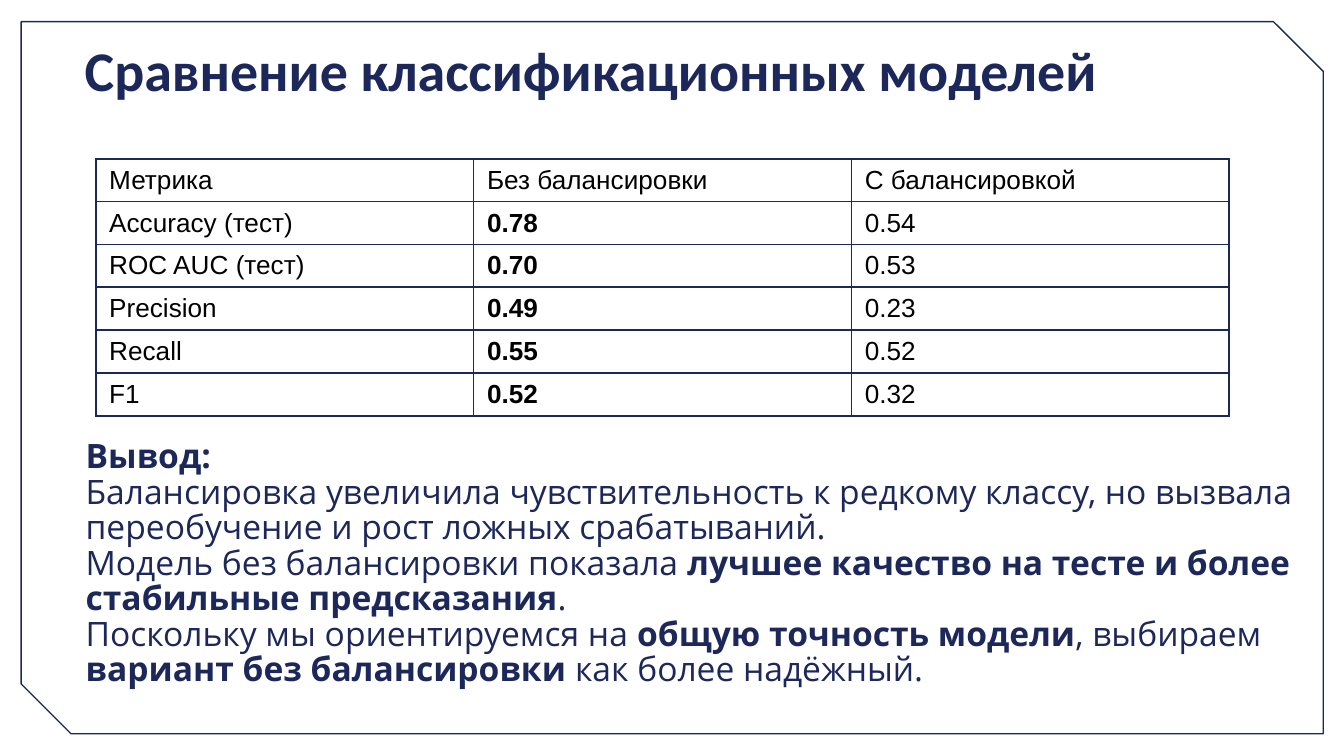
from dataclasses import dataclass

from lxml.etree import SubElement
from pptx import Presentation
from pptx.dml.color import RGBColor
from pptx.enum.shapes import MSO_SHAPE
from pptx.enum.text import MSO_ANCHOR, MSO_AUTO_SIZE, PP_ALIGN
from pptx.oxml.ns import qn
from pptx.util import Cm, Pt


@dataclass(frozen=True)
class Theme:
    navy: RGBColor = RGBColor(0x1C, 0x28, 0x5A)
    black: RGBColor = RGBColor(0, 0, 0)
    title_size: Pt = Pt(30)
    body_size: Pt = Pt(18)
    table_size: Pt = Pt(14)
    frame_line: Pt = Pt(0.75)
    border_line: Pt = Pt(1)


theme = Theme()


def add_text(paragraph, text, color, **font_format):
    run = paragraph.add_run()
    run.text = text
    for name, value in font_format.items():
        setattr(run.font, name, value)
    run.font.color.rgb = color


def set_borders(cell):
    properties = cell._tc.get_or_add_tcPr()
    # Borders must stand before the fill in the cell properties.
    for index, side in enumerate(("lnL", "lnR", "lnT", "lnB")):
        line = SubElement(properties, qn(f"a:{side}"), w=str(theme.border_line))
        fill = SubElement(line, qn("a:solidFill"))
        SubElement(fill, qn("a:srgbClr"), val=str(theme.navy))
        properties.insert(index, line)


presentation = Presentation()
presentation.slide_width = Cm(25.4)
presentation.slide_height = Cm(14.29)
slide = presentation.slides.add_slide(presentation.slide_layouts[5])

# Frame with two snipped corners
frame = slide.shapes.add_shape(
    MSO_SHAPE.SNIP_2_DIAG_RECTANGLE, Cm(0.4), Cm(0.41), Cm(24.61), Cm(13.46)
)
frame.adjustments[0] = 0
frame.adjustments[1] = 0.07
frame.shadow.inherit = False
frame.fill.background()
frame.line.color.rgb = theme.navy
frame.line.width = theme.frame_line

# Title and conclusion boxes
title = slide.shapes.title
title_place = {"left": Cm(1.35), "top": Cm(0.42), "width": Cm(22.73), "height": Cm(1.6)}
for name, value in title_place.items():
    setattr(title, name, value)
conclusion = slide.shapes.add_textbox(Cm(0.94), Cm(8.08), Cm(24.16), Cm(4.22))

frame_format = {
    "margin_left": Cm(0.25),
    "margin_right": Cm(0.25),
    "margin_top": Cm(0.25),
    "margin_bottom": Cm(0.25),
    "word_wrap": True,
    "auto_size": MSO_AUTO_SIZE.NONE,
    "vertical_anchor": MSO_ANCHOR.TOP,
}
for shape in (title, conclusion):
    for name, value in frame_format.items():
        setattr(shape.text_frame, name, value)

title_paragraph = title.text_frame.paragraphs[0]
title_paragraph.alignment = PP_ALIGN.LEFT
add_text(title_paragraph, "Сравнение классификационных моделей", theme.navy,
         name="Calibri", size=theme.title_size, bold=True)

# Metrics table
metrics = [
    ("Метрика", "Без балансировки", "С балансировкой"),
    ("Accuracy (тест)", "0.78", "0.54"),
    ("ROC AUC (тест)", "0.70", "0.53"),
    ("Precision", "0.49", "0.23"),
    ("Recall", "0.55", "0.52"),
    ("F1", "0.52", "0.32"),
]
column_width, row_height = Cm(7.14), Cm(0.81)
table = slide.shapes.add_table(
    len(metrics), 3, Cm(1.81), Cm(3), 3 * column_width, len(metrics) * row_height
).table
table.first_row = False
table.horz_banding = False
for column in table.columns:
    column.width = column_width
cell_format = {
    "margin_top": Cm(0.12),
    "margin_bottom": Cm(0.12),
    "vertical_anchor": MSO_ANCHOR.MIDDLE,
}
for row_index, values in enumerate(metrics):
    for column_index, value in enumerate(values):
        cell = table.cell(row_index, column_index)
        for name, setting in cell_format.items():
            setattr(cell, name, setting)
        cell.fill.background()
        set_borders(cell)
        best = row_index > 0 and column_index == 1
        add_text(cell.text_frame.paragraphs[0], value, theme.black,
                 name="Arial", size=theme.table_size, bold=best)

# Conclusion: paragraphs of lines, each line made of (text, bold) parts
conclusion_paragraphs = [
    [
        [("Вывод:", True)],
        [("Балансировка увеличила чувствительность к редкому классу, но вызвала "
          "переобучение и рост ложных срабатываний.", False)],
        [("Модель без балансировки показала ", False),
         ("лучшее качество на тесте и более стабильные предсказания", True),
         (".", False)],
    ],
    [
        [("Поскольку мы ориентируемся на ", False),
         ("общую точность модели", True),
         (", выбираем ", False),
         ("вариант без балансировки", True),
         (" как более надёжный.", False)],
    ],
]
for paragraph_index, lines in enumerate(conclusion_paragraphs):
    text_frame = conclusion.text_frame
    paragraph = text_frame.add_paragraph() if paragraph_index else text_frame.paragraphs[0]
    paragraph.line_spacing = 0.88
    paragraph._p.get_or_add_pPr().set("marL", str(Cm(0.43)))
    for line_index, parts in enumerate(lines):
        if line_index:
            paragraph.add_line_break()
        for text, bold in parts:
            add_text(paragraph, text, theme.navy,
                     name="Open Sans", size=theme.body_size, bold=bold)

presentation.save("out.pptx")
